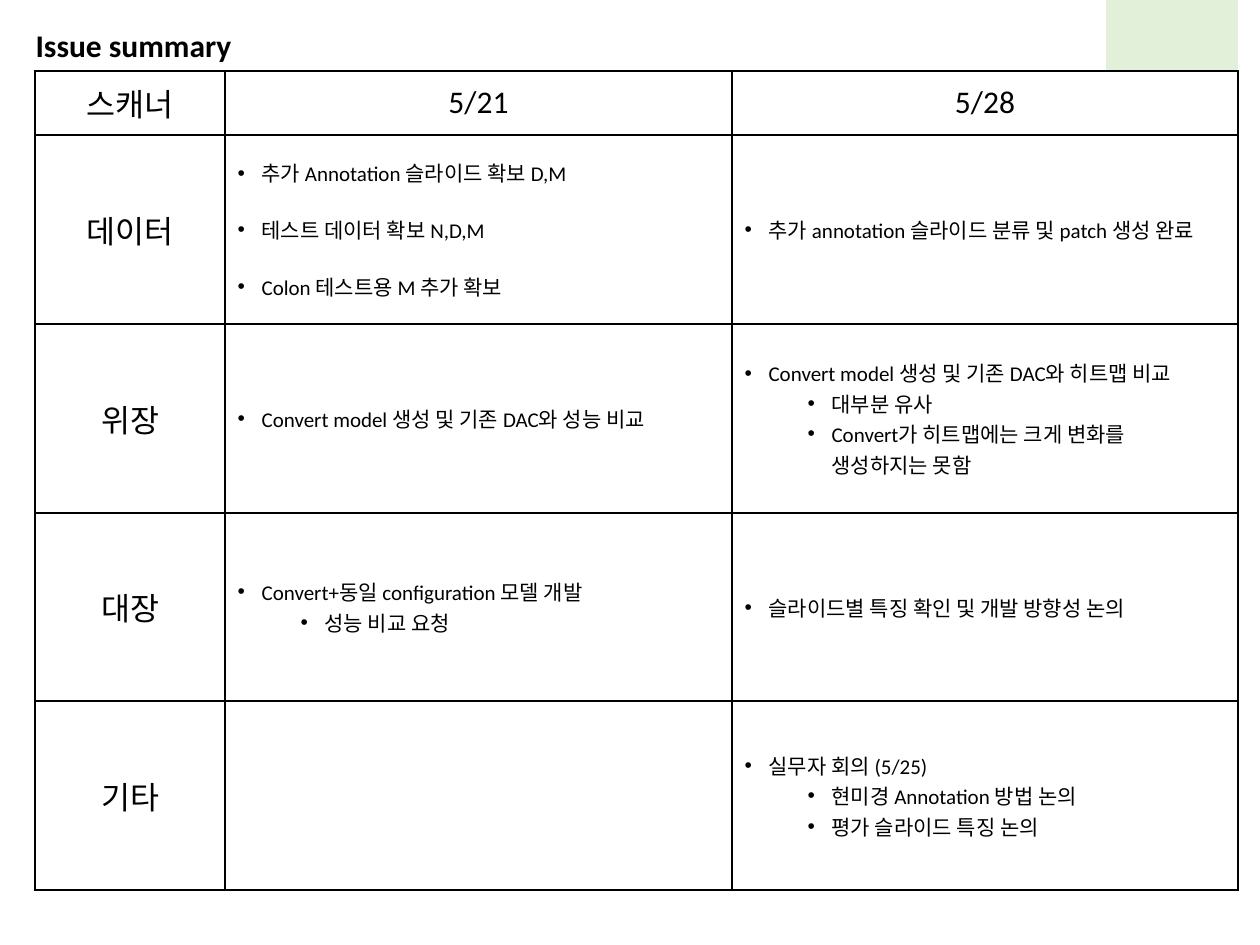
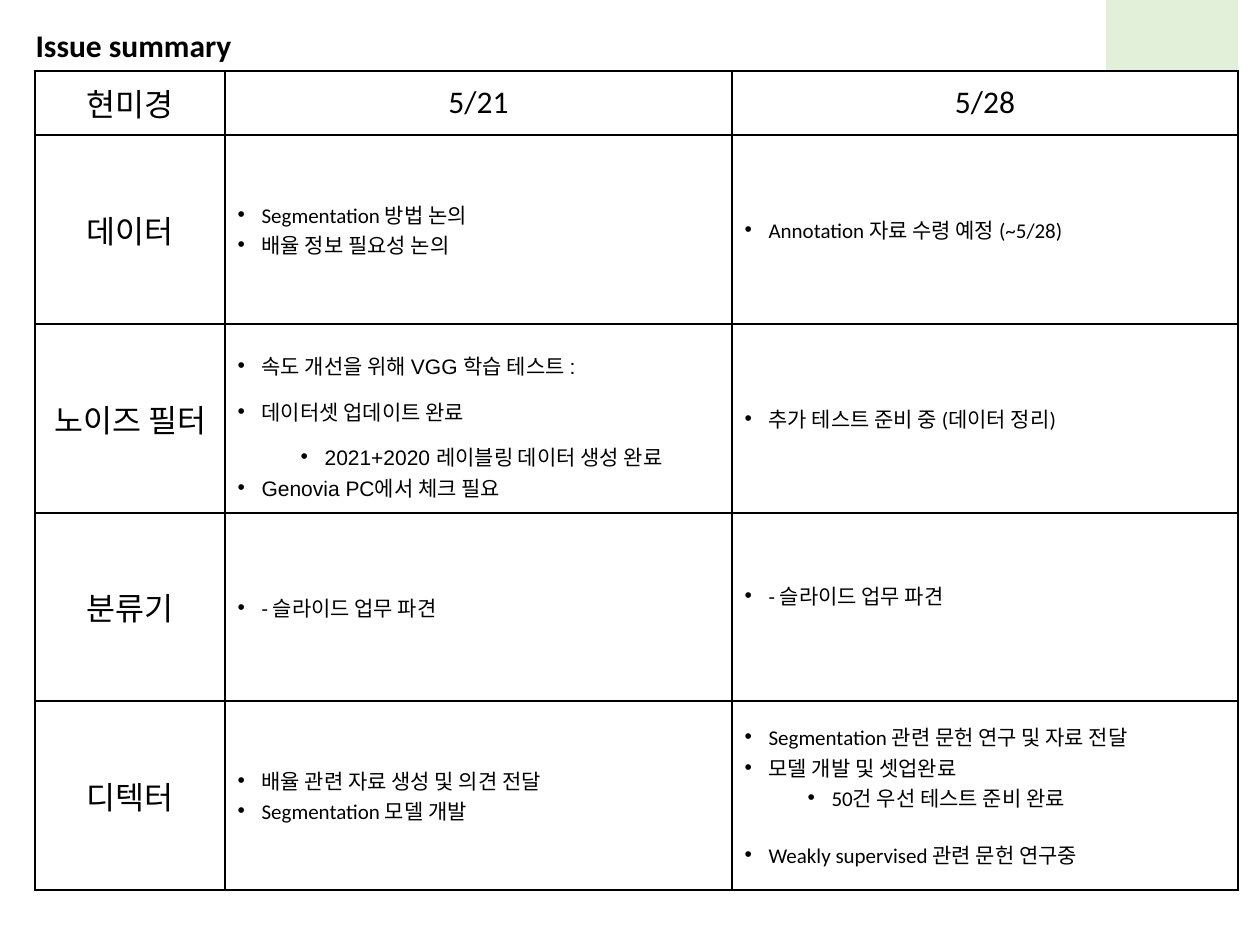
"""Build two issue summary slides, one table of issues per device."""
from dataclasses import dataclass

from lxml.etree import SubElement
from pptx import Presentation
from pptx.dml.color import RGBColor
from pptx.enum.shapes import MSO_SHAPE
from pptx.enum.text import MSO_ANCHOR, MSO_AUTO_SIZE, PP_ALIGN
from pptx.oxml.ns import qn
from pptx.util import Emu, Inches, Pt


@dataclass(frozen=True)
class Theme:
    ink: str = "000000"
    paper: str = "FFFFFF"
    accent: str = "E2F0D9"
    font: str = "Calibri"
    alt_font: str = "Arial"
    head: int = 18
    body: int = 12
    border: int = 1


T = Theme()
SCALE = Inches(1) / 126
COLS = [190, 507, 506]
HANG = 24
LEFT, SUB_LEFT = 24, 87
SUB = dict(left=SUB_LEFT)
GAP = dict(before=15)
WIDE = dict(font=T.alt_font, spacing=1.5)


def px(n):
    return Emu(round(n * SCALE))


def write(tf, text, size=T.body, font=T.font, bold=False, align=PP_ALIGN.LEFT,
          left=None, before=None, spacing=None):
    p = tf.paragraphs[0]
    if p.runs:
        p = tf.add_paragraph()
    p.alignment = align
    if before is not None:
        p.space_before = Pt(before)
    if spacing is not None:
        p.line_spacing = spacing
    if left is not None:
        p.level = int(left > LEFT)
        pPr = p._p.get_or_add_pPr()
        pPr.set("marL", str(px(left)))
        pPr.set("indent", str(px(-HANG)))
        SubElement(pPr, qn("a:buFont")).set("typeface", T.alt_font)
        SubElement(pPr, qn("a:buChar")).set("char", "•")
    r = p.add_run()
    r.text = text
    r.font.size, r.font.name, r.font.bold = Pt(size), font, bold
    r.font.color.rgb = RGBColor.from_string(T.ink)


SLIDES = [
    ("스캐너", [
        ("데이터",
         [("추가 Annotation 슬라이드 확보 D,M", {}),
          ("테스트 데이터 확보 N,D,M", GAP),
          ("Colon 테스트용 M 추가 확보", GAP)],
         [("추가 annotation 슬라이드 분류 및 patch 생성 완료", {})]),
        ("위장",
         [("Convert model 생성 및 기존 DAC와 성능 비교", {})],
         [("Convert model 생성 및 기존 DAC와 히트맵 비교", {}),
          ("대부분 유사", SUB),
          ("Convert가 히트맵에는 크게 변화를 생성하지는 못함", SUB)]),
        ("대장",
         [("Convert+동일 configuration 모델 개발", {}),
          ("성능 비교 요청", SUB)],
         [("슬라이드별 특징 확인 및 개발 방향성 논의", {})]),
        ("기타",
         [],
         [("실무자 회의 (5/25)", {}),
          ("현미경 Annotation 방법 논의", SUB),
          ("평가 슬라이드 특징 논의", SUB)]),
    ]),
    ("현미경", [
        ("데이터",
         [("Segmentation 방법 논의", {}),
          ("배율 정보 필요성 논의", {})],
         [("Annotation 자료 수령 예정 (~5/28)", {})]),
        ("노이즈 필터",
         [("속도 개선을 위해 VGG 학습 테스트 :", WIDE),
          ("데이터셋 업데이트 완료", WIDE),
          ("2021+2020 레이블링 데이터 생성 완료", WIDE | SUB),
          ("Genovia PC에서 체크 필요", dict(font=T.alt_font))],
         [("추가 테스트 준비 중 (데이터 정리)", {})]),
        ("분류기",
         [("- 슬라이드 업무 파견", {})],
         [("- 슬라이드 업무 파견", {})]),
        ("디텍터",
         [("배율 관련 자료 생성 및 의견 전달", {}),
          ("Segmentation 모델 개발", {})],
         [("Segmentation 관련 문헌 연구 및 자료 전달", {}),
          ("모델 개발 및 셋업완료", {}),
          ("50건 우선 테스트 준비 완료", SUB),
          ("Weakly supervised 관련 문헌 연구중", GAP)]),
    ]),
]

prs = Presentation()
prs.slide_width, prs.slide_height = px(1260), px(945)

for device, issues in SLIDES:
    s = prs.slides.add_slide(prs.slide_layouts[5])

    title = s.shapes.title
    title.left, title.top, title.width, title.height = px(23), px(20), px(394), px(50)
    tf = title.text_frame
    tf.word_wrap = True
    tf.auto_size = MSO_AUTO_SIZE.NONE
    tf.vertical_anchor = MSO_ANCHOR.TOP
    write(tf, "Issue summary", size=T.head, bold=True)

    sp = s.shapes.add_shape(MSO_SHAPE.RECTANGLE, px(1106), px(-19), px(132), px(181))
    sp.shadow.inherit = False
    sp.fill.solid()
    sp.fill.fore_color.rgb = RGBColor.from_string(T.accent)
    sp.line.fill.background()

    header = (device, "5/21", "5/28")
    for top, heights, rows in [(71, [64, 189], [header, issues[0]]),
                               (324, [189, 188, 189], issues[1:])]:
        frame = s.shapes.add_table(len(rows), len(COLS), px(35), px(top),
                                   px(sum(COLS)), px(sum(heights)))
        table = frame.table
        table.first_row = table.horz_banding = False
        for column, width in zip(table.columns, COLS):
            column.width = px(width)
        for row, height, contents in zip(table.rows, heights, rows):
            row.height = px(height)
            for cell, content in zip(row.cells, contents):
                cell.vertical_anchor = MSO_ANCHOR.MIDDLE
                tcPr = cell._tc.get_or_add_tcPr()
                for side in ("lnL", "lnR", "lnT", "lnB"):
                    ln = SubElement(tcPr, qn(f"a:{side}"), w=str(Pt(T.border)))
                    fill = SubElement(ln, qn("a:solidFill"))
                    SubElement(fill, qn("a:srgbClr"), val=T.ink)
                cell.fill.solid()
                cell.fill.fore_color.rgb = RGBColor.from_string(T.paper)
                if isinstance(content, str):
                    write(cell.text_frame, content, size=T.head, align=PP_ALIGN.CENTER)
                    continue
                for text, fmt in content:
                    write(cell.text_frame, text, **{"left": LEFT, **fmt})
        if contents[0] == "디텍터":
            table.cell(1, 2).margin_bottom = px(30)

prs.save("out.pptx")
